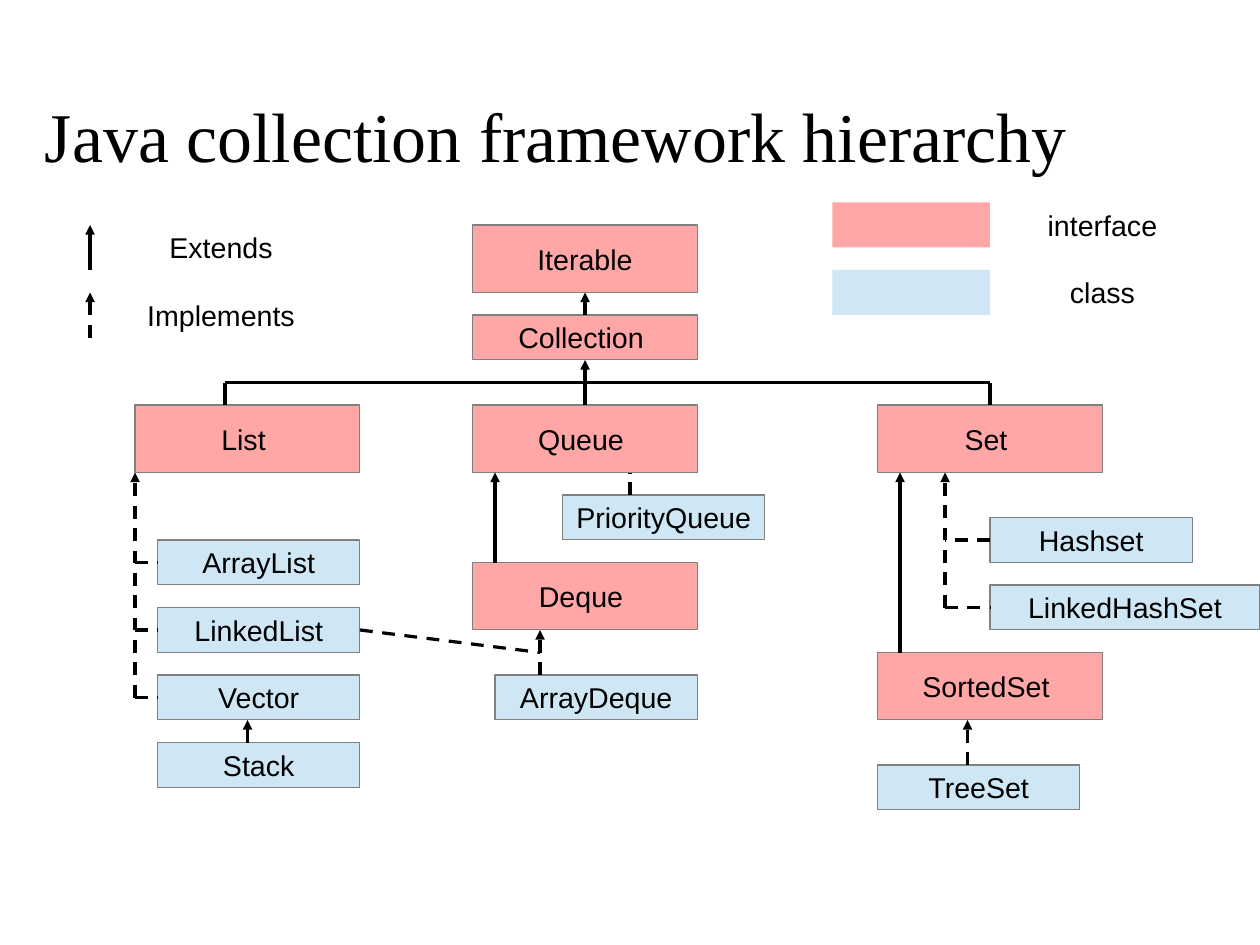
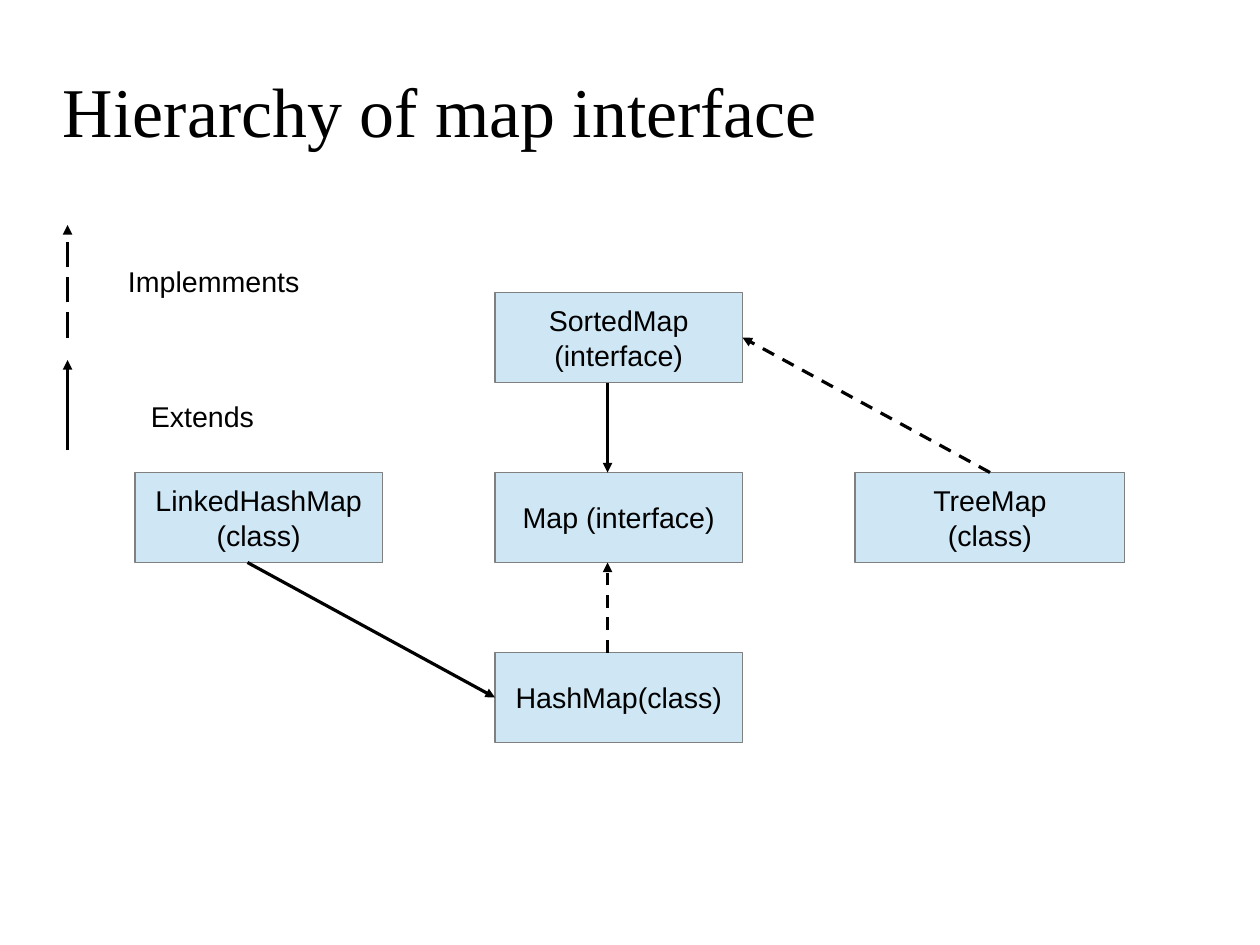
from pptx import Presentation, util as u
from pptx.dml.color import RGBColor
from pptx.enum import dml, shapes, text
from pptx.oxml import ns
from lxml import etree

# Shared look; all places are columns and rows of a 56 by 42 grid
COLS, ROWS = 56, 42
CELL = u.Cm(0.5)
PINK, BLUE, GREY, BLACK = "FFA6A6", "CFE7F5", "808080", "000000"
DASH, LONG = dml.MSO_LINE.DASH, dml.MSO_LINE.LONG_DASH


def grid(*cells):
    return [u.Emu(round(c * CELL)) for c in cells]


def paint(part, hue):
    """Give a fill, line or font a solid colour."""
    if hasattr(part, "solid"):
        part.solid()
        part.fore_color.rgb = RGBColor.from_string(hue)
    else:
        part.color.rgb = RGBColor.from_string(hue)


def write(frame, words, font="Arial", size=18, hue=BLACK,
          align=text.PP_ALIGN.CENTER, wrap=False, pad=(0.1, 0.05)):
    frame.word_wrap = wrap
    frame.auto_size = text.MSO_AUTO_SIZE.NONE
    frame.vertical_anchor = text.MSO_ANCHOR.MIDDLE
    frame.margin_left = frame.margin_right = u.Inches(pad[0])
    frame.margin_top = frame.margin_bottom = u.Inches(pad[1])
    frame.text = words
    for para in frame.paragraphs:
        para.alignment = align
        para.font.name, para.font.size = font, u.Pt(size)
        paint(para.font, hue)


def page(deck, words, box):
    slide = deck.slides.add_slide(deck.slide_layouts[5])
    title = slide.shapes.title
    title.left, title.top, title.width, title.height = grid(*box)
    write(title.text_frame, words, font="Times New Roman", size=44,
          align=text.PP_ALIGN.LEFT, wrap=True, pad=(0, 0))
    return slide


def block(slide, box, words="", hue=BLUE, edge=GREY):
    shape = slide.shapes.add_shape(shapes.MSO_SHAPE.RECTANGLE, *grid(*box))
    shape.shadow.inherit = False
    paint(shape.fill, hue)
    if edge:
        paint(shape.line, edge)
        shape.line.width = 0
    else:
        shape.line.fill.background()
    if words:
        write(shape.text_frame, words)


def label(slide, box, words):
    write(slide.shapes.add_textbox(*grid(*box)).text_frame, words)


def link(slide, ends, dash=None, head=True):
    line = slide.shapes.add_connector(shapes.MSO_CONNECTOR.STRAIGHT, *grid(*ends))
    paint(line.line, BLACK)
    line.line.width = 0
    if dash:
        line.line.dash_style = dash
    props = line._element.spPr
    if head:
        etree.SubElement(props.find(ns.qn("a:ln")), ns.qn("a:tailEnd"), type="triangle")
    etree.SubElement(props, ns.qn("a:effectLst"))


def tree(slide, spot, blocks, links):
    """Draw blocks and links, both placed relative to the spot."""
    x, y = spot
    for words, hue, (left, top, wide, high) in blocks:
        block(slide, (x + left, y + top, wide, high), words, hue)
    for (x1, y1, x2, y2), dash, head in links:
        link(slide, (x + x1, y + y1, x + x2, y + y2), dash, head)


# Regions of the collection slide
def root(slide, spot):
    tree(slide, spot,
         [("Iterable", PINK, (0, 0, 10, 3)),
          ("Collection ", PINK, (0, 4, 10, 2))],
         [((5, 4, 5, 3), None, True),
          ((5, 8, 5, 6), None, True),
          ((-11, 7, 23, 7), None, False),
          ((-11, 8, -11, 7), None, False),
          ((23, 7, 23, 8), None, False)])


def lists(slide, spot):
    names = ["ArrayList", "LinkedList", "Vector", "Stack"]
    tree(slide, spot,
         [("List ", PINK, (0, 0, 10, 3))]
         + [(name, BLUE, (1, 6 + 3 * i, 9, 2)) for i, name in enumerate(names)],
         [((0, 13, 0, 3), DASH, True)]
         + [((0, 7 + 3 * i, 1, 7 + 3 * i), DASH, False) for i in range(3)]
         + [((5, 15, 5, 14), None, True)])


def queues(slide, spot):
    tree(slide, spot,
         [("Queue ", PINK, (0, 0, 10, 3)),
          ("PriorityQueue", BLUE, (4, 4, 9, 2)),
          ("Deque ", PINK, (0, 7, 10, 3)),
          ("ArrayDeque", BLUE, (1, 12, 9, 2))],
         [((1, 7, 1, 3), None, True),
          ((7, 4, 7, 3), DASH, False),
          ((3, 12, 3, 10), DASH, True),
          ((-5, 10, 3, 11), DASH, False)])


def sets(slide, spot):
    tree(slide, spot,
         [("Set ", PINK, (0, 0, 10, 3)),
          ("Hashset", BLUE, (5, 5, 9, 2)),
          ("LinkedHashSet", BLUE, (5, 8, 12, 2)),
          ("SortedSet ", PINK, (0, 11, 10, 3)),
          ("TreeSet", BLUE, (0, 16, 9, 2))],
         [((1, 11, 1, 3), None, True),
          ((4, 16, 4, 14), DASH, True),
          ((3, 9, 3, 3), DASH, True),
          ((5, 6, 3, 6), DASH, False),
          ((3, 9, 5, 9), DASH, False)])


# Legends
def swatch(slide, spot, words, hue):
    x, y = spot
    block(slide, (x, y, 7, 2), hue=hue, edge=None)
    label(slide, (x + 8, y, 8, 2), words)


def key(slide, spot, high, words, box, dash=None):
    """An upward arrow, with a label box relative to its tip."""
    x, y = spot
    left, top, wide, tall = box
    link(slide, (x, y + high, x, y), dash)
    label(slide, (x + left, y + top, wide, tall), words)


# Region of the map slide
def maps(slide, spot):
    tree(slide, spot,
         [("SortedMap\n(interface)", BLUE, (16, 0, 11, 4)),
          ("Map (interface)", BLUE, (16, 8, 11, 4)),
          ("HashMap(class)", BLUE, (16, 16, 11, 4)),
          ("LinkedHashMap\n(class)", BLUE, (0, 8, 11, 4)),
          ("TreeMap\n(class)", BLUE, (32, 8, 12, 4))],
         [((5, 12, 16, 18), None, True),
          ((21, 4, 21, 8), None, True),
          ((38, 8, 27, 2), DASH, True),
          ((21, 16, 21, 12), DASH, True)])


def main():
    deck = Presentation()
    deck.slide_width, deck.slide_height = grid(COLS, ROWS)

    slide = page(deck, "Java collection framework hierarchy", (2, 4, 50, 4))
    lists(slide, (6, 18))
    queues(slide, (21, 18))
    sets(slide, (39, 18))
    root(slide, (21, 10))
    swatch(slide, (37, 9), "interface", PINK)
    swatch(slide, (37, 12), "class", BLUE)
    key(slide, (4, 10), 2, "Extends ", (2, 0, 8, 2))
    key(slide, (4, 13), 2, "Implements ", (2, 0, 8, 2), DASH)

    slide = page(deck, "Hierarchy of map interface", (2.8, 1.7, 42.8, 6.35))
    maps(slide, (6, 13))
    key(slide, (3, 10), 5, "Implemments", (1, 1, 11, 3), LONG)
    key(slide, (3, 16), 4, "Extends", (1, 1, 10, 3))

    deck.save("out.pptx")


if __name__ == "__main__":
    main()
